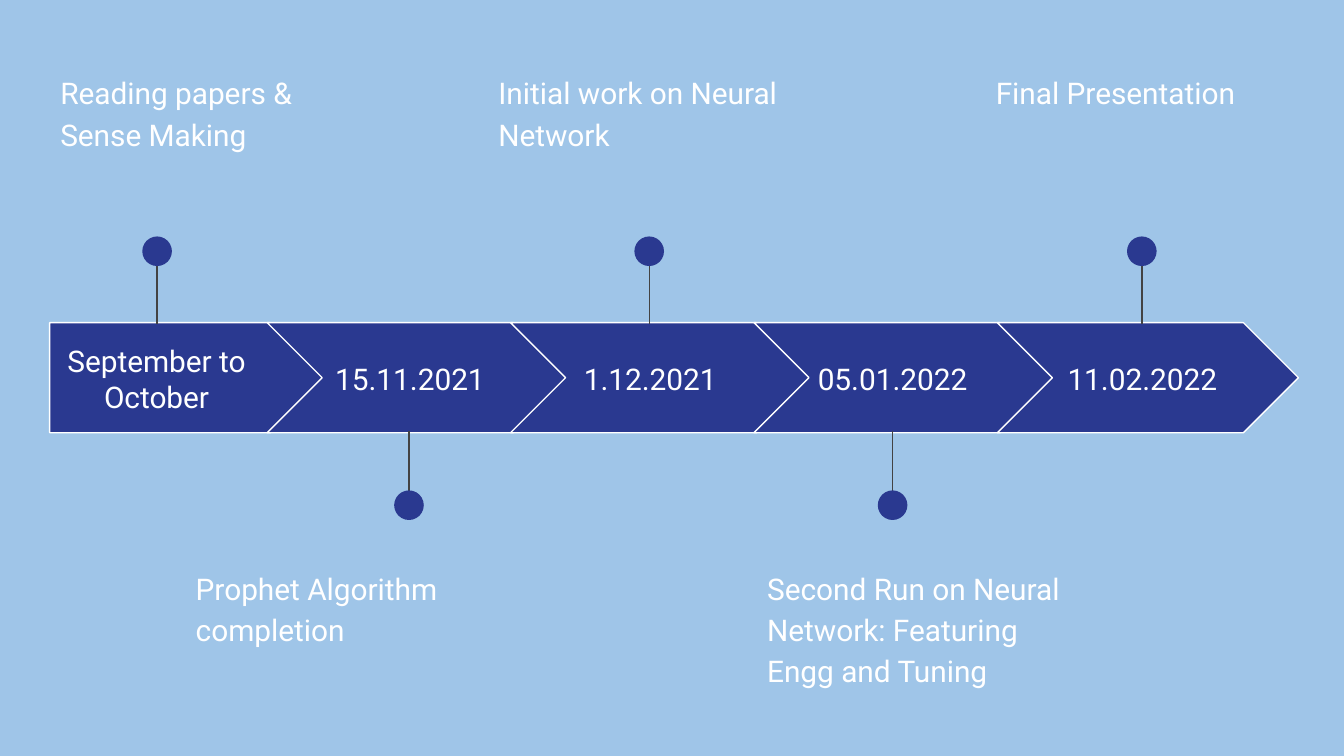
from lxml import etree
from pptx import Presentation
from pptx import util as u
from pptx.dml.color import RGBColor
from pptx.enum import shapes, text
from pptx.oxml.ns import qn

COLORS = {
    "background": "9FC5E8",
    "navy": "2A3990",
    "white": "FFFFFF",
    "stem": "434343",
}

MILESTONES = [
    ("September to October", 0.94, 4.04, 2.97, "Reading papers & Sense Making", 0.89),
    ("15.11.2021", 5.92, 3.66, 7.73, "Prophet Algorithm completion", 3.45),
    ("1.12.2021", 10.46, 3.66, 12.27, "Initial work on Neural Network", 9.17),
    ("05.01.2022", 15.04, 3.66, 16.87,
     "Second Run on Neural Network: Featuring Engg and Tuning", 14.25),
    ("11.02.2022", 19.76, 3.66, 21.58, "Final Presentation", 18.57),
]

BAND_TOP, BAND_HEIGHT = 6.1, 2.08
CHEVRON_LEFT, CHEVRON_STEP = 5.05, 4.6
DOT_SIZE = 0.56


class TimelineSlide:
    font_name = "Roboto"
    font_size = u.Pt(16)
    line_width = u.Pt(0.75)
    inset = u.Cm(0.25)

    def __init__(self, presentation):
        self.slide = presentation.slides.add_slide(presentation.slide_layouts[6])
        fill = self.slide.background.fill
        fill.solid()
        fill.fore_color.rgb = self.color("background")

    def color(self, name):
        return RGBColor.from_string(COLORS[name])

    def shape(self, kind, left, top, width, height, outline=None):
        shape = self.slide.shapes.add_shape(
            kind, u.Cm(left), u.Cm(top), u.Cm(width), u.Cm(height))
        shape.shadow.inherit = False
        shape.fill.solid()
        shape.fill.fore_color.rgb = self.color("navy")
        if outline:
            shape.line.color.rgb = self.color(outline)
            shape.line.width = self.line_width
        else:
            shape.line.fill.background()

    def label(self, words, left, top, width, height):
        box = self.slide.shapes.add_textbox(
            u.Cm(left), u.Cm(top), u.Cm(width), u.Cm(height))
        frame = box.text_frame
        frame.word_wrap = True
        frame.margin_left = frame.margin_right = self.inset
        frame.margin_top = frame.margin_bottom = self.inset
        paragraph = frame.paragraphs[0]
        paragraph.text = words
        paragraph.font.name = self.font_name
        paragraph.font.size = self.font_size
        paragraph.font.color.rgb = self.color("white")
        return frame

    def date(self, words, left, width):
        frame = self.label(words, left, 6.5, width, 1.3)
        frame.vertical_anchor = text.MSO_ANCHOR.MIDDLE
        frame.paragraphs[0].alignment = text.PP_ALIGN.CENTER

    def description(self, words, left, top):
        paragraph = self.label(words, left, top, 6.22, 2.51).paragraphs[0]
        paragraph.line_spacing = 1.15
        paragraph.space_after = u.Pt(16)

    def pin(self, center, start, end, dot_top):
        stem = self.slide.shapes.add_connector(
            shapes.MSO_CONNECTOR.STRAIGHT,
            u.Cm(center), u.Cm(start), u.Cm(center), u.Cm(end))
        stem.line.color.rgb = self.color("stem")
        stem.line.width = self.line_width
        etree.SubElement(stem._element.spPr, qn("a:effectLst"))
        self.shape(shapes.MSO_SHAPE.OVAL, center - DOT_SIZE / 2, dot_top,
                   DOT_SIZE, DOT_SIZE)


def main():
    presentation = Presentation()
    presentation.slide_width = u.Cm(25.4)
    presentation.slide_height = u.Cm(14.29)
    timeline = TimelineSlide(presentation)

    for index, (date, date_left, date_width, center, words, words_left) in enumerate(MILESTONES):
        if index == 0:
            timeline.shape(shapes.MSO_SHAPE.PENTAGON, 0.94, BAND_TOP, 5.21,
                           BAND_HEIGHT, "white")
        else:
            left = CHEVRON_LEFT + CHEVRON_STEP * (index - 1)
            timeline.shape(shapes.MSO_SHAPE.CHEVRON, left, BAND_TOP, 5.69,
                           BAND_HEIGHT, "white")
        timeline.date(date, date_left, date_width)
        if index % 2 == 0:
            timeline.pin(center, 4.57, 6.12, 4.47)
            timeline.description(words, words_left, 1.07)
        else:
            timeline.pin(center, 9.7, 8.15, 9.27)
            timeline.description(words, words_left, 10.44)

    presentation.save("out.pptx")


if __name__ == "__main__":
    main()
